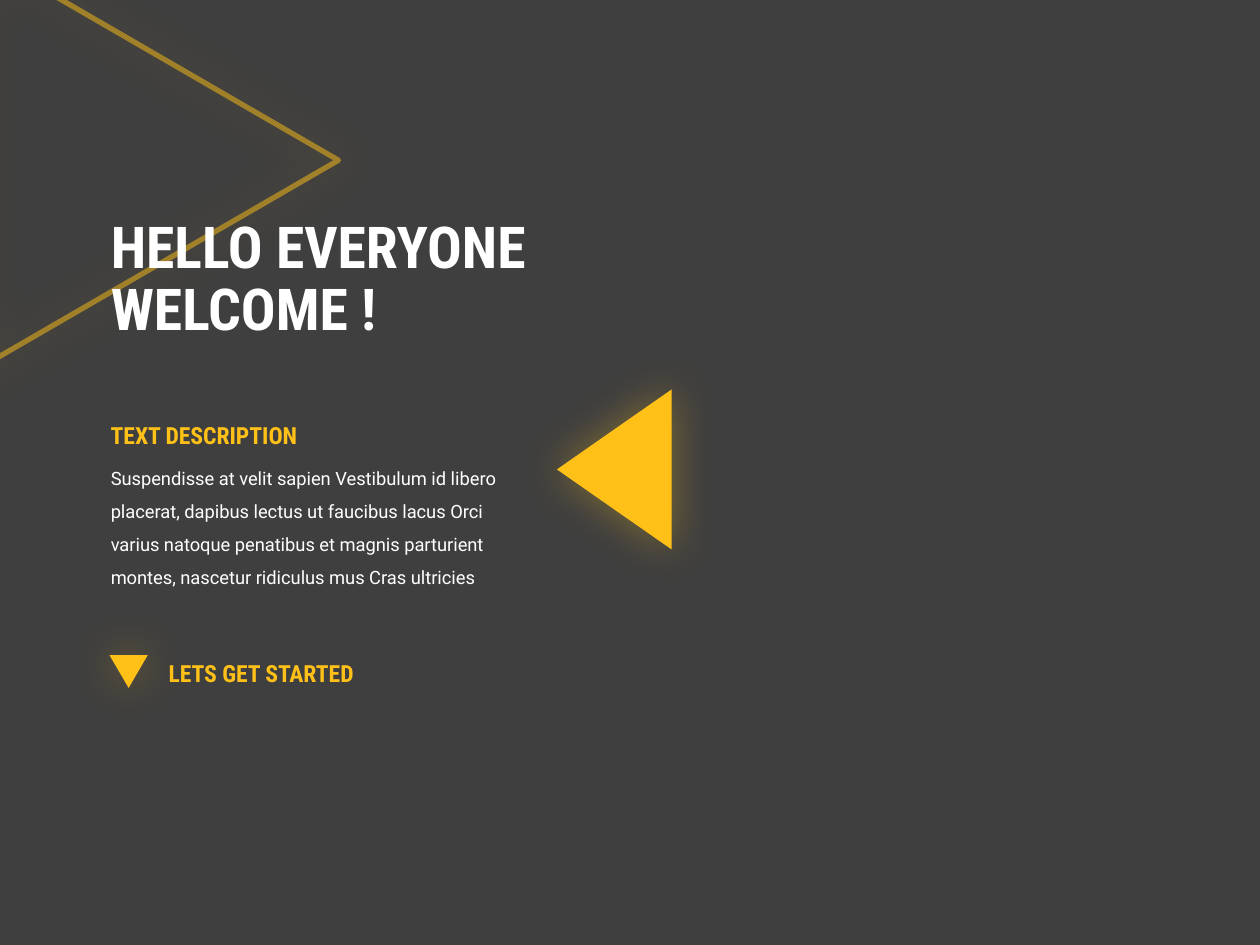
import pptx
import pptx.dml.color
import pptx.enum.shapes
import pptx.enum.text
import pptx.oxml
import pptx.oxml.ns
import pptx.util
import lxml.etree

Pt = pptx.util.Pt
Anchor = pptx.enum.text.MSO_ANCHOR
AutoSize = pptx.enum.text.MSO_AUTO_SIZE


def color(value):
    return pptx.dml.color.RGBColor.from_string(value)


def write(frame, text, font="Roboto", size=10.5, ink="FFFFFF", bold=False, spacing=1.0):
    paragraph = frame.paragraphs[0]
    paragraph.text = text
    paragraph.line_spacing = spacing
    for run in paragraph.runs:
        run.font.name = font
        run.font.size = Pt(size)
        run.font.bold = bold
        run.font.color.rgb = color(ink)


class WelcomeSlide:
    background = "3F3F3F"
    accent = "FFC118"
    heading_font = "Roboto Condensed"

    def __init__(self, deck):
        self.slide = deck.slides.add_slide(deck.slide_layouts[6])
        fill = self.slide.background.fill
        fill.solid()
        fill.fore_color.rgb = color(self.background)

    def text(self, left, top, width, height, words, anchor=Anchor.TOP, grow=True, **style):
        box = self.slide.shapes.add_textbox(Pt(left), Pt(top), Pt(width), Pt(height))
        frame = box.text_frame
        frame.word_wrap = True
        frame.auto_size = AutoSize.SHAPE_TO_FIT_TEXT if grow else AutoSize.NONE
        frame.vertical_anchor = anchor
        write(frame, words, **style)

    def heading(self, left, top, width, height, words, size=13.5, ink=accent, **style):
        self.text(left, top, width, height, words, font=self.heading_font,
                  size=size, ink=ink, bold=True, **style)

    def triangle(self, left, top, width, height, rotation, outlined=False):
        shape = self.slide.shapes.add_shape(
            pptx.enum.shapes.MSO_SHAPE.ISOSCELES_TRIANGLE,
            Pt(left), Pt(top), Pt(width), Pt(height))
        shape.rotation = rotation
        if outlined:
            shape.fill.background()
            shape.line.color.rgb = color(self.accent)
            shape.line.width = Pt(3)
            tint = shape.line._ln.find(".//" + pptx.oxml.ns.qn("a:srgbClr"))
            lxml.etree.SubElement(tint, pptx.oxml.ns.qn("a:alpha"), val="50000")
        else:
            shape.fill.solid()
            shape.fill.fore_color.rgb = color(self.accent)
            shape.line.fill.background()
        self.glow(shape)

    def glow(self, shape, blur=25, opacity=35):
        shape.shadow.inherit = False
        effects = shape._element.spPr.find(pptx.oxml.ns.qn("a:effectLst"))
        effects.append(pptx.oxml.parse_xml(
            f'<a:outerShdw {pptx.oxml.ns.nsdecls("a")} blurRad="{Pt(blur)}" dist="0" dir="0" '
            f'algn="ctr" rotWithShape="0"><a:srgbClr val="{self.accent}">'
            f'<a:alpha val="{opacity * 1000}"/></a:srgbClr></a:outerShdw>'))


def main():
    deck = pptx.Presentation()
    deck.slide_width, deck.slide_height = Pt(720), Pt(540)
    welcome = WelcomeSlide(deck)
    margin = 56.2

    welcome.triangle(-28, -11, 237.6, 205.2, 90, outlined=True)
    welcome.heading(margin, 103.7, 303.8, 113.8, "HELLO EVERYONE\vWELCOME !", size=33,
                    ink="FFFFFF", spacing=0.9, anchor=Anchor.MIDDLE, grow=False)
    welcome.triangle(305.3, 235.5, 91.4, 65.5, 270)
    welcome.text(margin, 257, 243.4, 81.4,
                 "Suspendisse at velit sapien Vestibulum id libero placerat, dapibus lectus ut "
                 "faucibus lacus Orci varius natoque penatibus et magnis parturient montes, "
                 "nascetur ridiculus mus Cras ultricies", spacing=1.5)
    welcome.heading(margin, 236.9, 132.5, 23.8, "TEXT DESCRIPTION")
    welcome.triangle(62.6, 374.4, 21.8, 18.7, 180)
    welcome.heading(89.3, 373, 132.5, 23.8, "LETS GET STARTED")

    deck.save("out.pptx")


if __name__ == "__main__":
    main()
